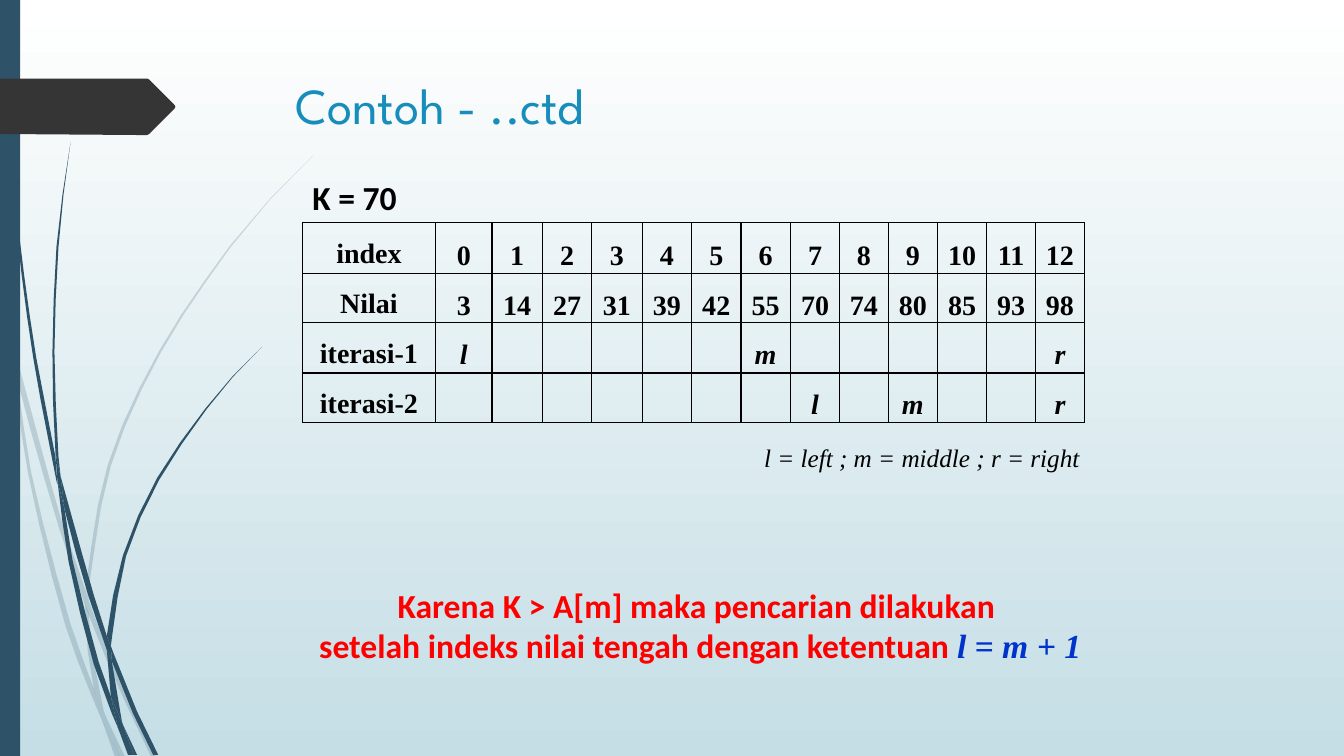
from dataclasses import dataclass
from math import dist

from lxml import etree
from pptx import Presentation
from pptx import util as u
from pptx.dml.color import RGBColor
from pptx.enum import shapes, text
from pptx.oxml import ns

Point = tuple[float, float]
Edge = tuple[Point, ...]


# Theme: colours, fonts and type sizes
@dataclass(frozen=True)
class Theme:
    top: str = "FFFFFF"
    base: str = "C5DEE5"
    navy: str = "2E5369"
    dark: str = "353535"
    title: str = "178DBB"
    ink: str = "000000"
    red: str = "FF0000"
    blue: str = "0033CC"
    head: str = "League Spartan"
    sans: str = "Calibri"
    serif: str = "Times New Roman"
    huge: int = 36
    big: int = 24
    mid: int = 20
    small: int = 18


@dataclass(frozen=True)
class Run:
    words: str
    size: int
    font: str
    color: str
    bold: bool = False
    slant: bool = False


@dataclass(frozen=True)
class Label:
    box: tuple[int, int, int, int]
    lines: tuple[tuple[Run, ...], ...]
    wrap: bool = True
    grow: bool = True
    align: text.PP_ALIGN = text.PP_ALIGN.LEFT


@dataclass(frozen=True)
class Blade:
    left: Edge
    right: Edge


T = Theme()
SCALE = 9144  # EMU per px, 100 px to the inch
WIDE, HIGH = 1333, 750


def emu(px: float) -> u.Emu:
    return u.Emu(round(px * SCALE))


def rgb(code: str) -> RGBColor:
    return RGBColor.from_string(code)


def smooth(edge: Edge) -> list[Point]:
    """Bend long stretches of an edge softly through its knots."""
    last = len(edge) - 1

    def slope(i: int) -> Point:
        a, b = max(i - 1, 0), min(i + 1, last)
        span = sum(dist(edge[k], edge[k + 1]) for k in range(a, b))
        return (edge[b][0] - edge[a][0]) / span, (edge[b][1] - edge[a][1]) / span

    curve: list[Point] = [edge[0]]
    for i in range(last):
        p, q, m, n = edge[i], edge[i + 1], slope(i), slope(i + 1)
        gap = dist(p, q)
        steps = max(1, round(gap / 45))
        for s in range(1, steps + 1):
            t = s / steps
            w, c, d = t * t * (3 - 2 * t), gap * t * (1 - t) ** 2, gap * t * t * (t - 1)
            x, y = (p[k] + w * (q[k] - p[k]) + c * m[k] + d * n[k] for k in (0, 1))
            curve.append((x, y))
    return curve


def paint(shape, color: str, alpha: int = 100) -> None:
    shape.shadow.inherit = False
    shape.fill.solid()
    shape.fill.fore_color.rgb = rgb(color)
    shape.line.fill.background()
    if alpha < 100:
        tone = shape._element.spPr.find(ns.qn("a:solidFill"))[0]
        etree.SubElement(tone, ns.qn("a:alpha"), val=str(alpha * 1000))


def outline(slide, points: list[Point], color: str, alpha: int = 100) -> None:
    spots = list(dict.fromkeys((emu(x), emu(y)) for x, y in points))
    pen = slide.shapes.build_freeform(*spots[0], scale=1.0)
    pen.add_line_segments(spots[1:], close=True)
    paint(pen.convert_to_shape(), color, alpha)


def write(para, run: Run) -> None:
    piece = para.add_run()
    piece.text = run.words
    font = piece.font
    font.size, font.name = u.Pt(run.size), run.font
    font.bold, font.italic = run.bold, run.slant
    font.color.rgb = rgb(run.color)


def label(slide, item: Label) -> None:
    frame = slide.shapes.add_textbox(*map(emu, item.box)).text_frame
    frame.word_wrap = item.wrap
    fit = text.MSO_AUTO_SIZE
    frame.auto_size = fit.SHAPE_TO_FIT_TEXT if item.grow else fit.NONE
    for i, line in enumerate(item.lines):
        para = frame.add_paragraph() if i else frame.paragraphs[0]
        para.alignment = item.align
        for run in line:
            write(para, run)


def border(cell) -> None:
    props = cell._tc.get_or_add_tcPr()
    for side in ("lnL", "lnR", "lnT", "lnB"):
        line = etree.SubElement(props, ns.qn(f"a:{side}"), w=str(u.Pt(1)))
        fill = etree.SubElement(line, ns.qn("a:solidFill"))
        etree.SubElement(fill, ns.qn("a:srgbClr"), val=T.ink)


def grid(slide, rows: list[list[str]], cols: tuple[int, ...], highs: tuple[int, ...]) -> None:
    box = map(emu, (300, 221, sum(cols), sum(highs)))
    table = slide.shapes.add_table(len(rows), len(cols), *box).table
    table.first_row = table.horz_banding = False
    for col, wide in zip(table.columns, cols):
        col.width = emu(wide)
    for r, words in enumerate(rows):
        table.rows[r].height = emu(highs[r])
        for c, word in enumerate(words):
            cell = table.cell(r, c)
            border(cell)
            cell.fill.background()
            cell.margin_left = cell.margin_right = emu(7)
            cell.margin_top = cell.margin_bottom = 0
            cell.vertical_anchor = text.MSO_ANCHOR.MIDDLE if c else text.MSO_ANCHOR.TOP
            if word:
                para = cell.text_frame.paragraphs[0]
                para.alignment, para.line_spacing = text.PP_ALIGN.CENTER, 1.5
                write(para, Run(word, T.mid, T.serif, T.ink, True, word in MARKS))


# Grass blades: pale ones behind, deep ones in front
PALE = (
    Blade(((0, 282), (0, 299), (10, 344), (11, 350)), ((0, 282), (9, 322), (11, 350))),
    Blade(((14, 345), (17, 376), (58, 522), (84, 599)), ((14, 345), (62, 520), (85, 586), (84, 599))),
    Blade(((88, 596), (88, 610), (123, 694), (150, 751)), ((88, 596), (92, 607), (127, 692), (155, 751))),
    Blade(((105, 711), (119, 751)), ((105, 711), (124, 751))),
    Blade(((11, 350), (28, 470), (65, 621), (92, 693), (101, 714)), ((11, 350), (17, 376), (31, 469), (70, 619), (93, 683), (99, 707), (101, 714))),
    Blade(((84, 599), (87, 646), (93, 683), (96, 692), (105, 711)), ((84, 599), (88, 608), (91, 646), (103, 706), (105, 711))),
    Blade(((312, 153), (268, 197), (228, 244), (158, 348), (107, 461), (85, 584), (88, 596)), ((312, 153), (268, 198), (229, 245), (160, 349), (110, 462), (88, 584), (88, 596))),
    Blade(((101, 714), (114, 751)), ((101, 714), (119, 751))),
    Blade(((85, 586), (84, 599), (88, 610)), ((85, 586), (88, 596), (88, 610))),
    Blade(((93, 683), (99, 707), (101, 714), (119, 751)), ((93, 683), (96, 692), (105, 711), (119, 751))),
)
DEEP = (
    Blade(((3, 0), (4, 48), (7, 110), (17, 233), (33, 355), (56, 477), (57, 481)), ((4, 0), (5, 48), (8, 109), (19, 232), (36, 355), (55, 453), (57, 481))),
    Blade(((60, 472), (64, 505), (88, 592), (106, 645)), ((60, 472), (93, 590), (106, 631), (106, 645))),
    Blade(((110, 641), (111, 656), (132, 708), (152, 749)), ((110, 641), (113, 649), (136, 706), (157, 749))),
    Blade(((57, 477), (68, 557), (93, 659), (111, 708), (117, 722)), ((57, 477), (64, 505), (72, 556), (98, 657), (110, 691), (117, 722))),
    Blade(((70, 141), (62, 193), (56, 245), (52, 349), (55, 449), (60, 472)), ((70, 141), (63, 193), (58, 245), (54, 349), (58, 453), (60, 472))),
    Blade(((122, 719), (133, 749)), ((122, 719), (136, 749))),
    Blade(((55, 449), (57, 477), (64, 505)), ((55, 449), (60, 472), (64, 505))),
    Blade(((260, 344), (231, 373), (204, 405), (156, 474), (122, 551), (106, 631), (110, 641)), ((260, 344), (231, 374), (205, 406), (158, 476), (125, 552), (111, 633), (110, 641))),
    Blade(((117, 722), (127, 749)), ((117, 722), (131, 749))),
    Blade(((106, 645), (110, 691), (122, 719)), ((106, 645), (111, 656), (121, 716), (122, 719))),
    Blade(((106, 631), (106, 645), (111, 656)), ((106, 631), (110, 641), (111, 656))),
    Blade(((110, 691), (117, 722), (130, 749)), ((110, 691), (122, 719), (133, 749))),
)
TAG = [(0, 78), (146, 78), (148, 79), (173, 104), (174, 106), (173, 108), (148, 133), (146, 134), (136, 134), (0, 133)]

# Search table: marks sit at their index
MARKS = {"l", "m", "r"}
VALUES = (3, 14, 27, 31, 39, 42, 55, 70, 74, 80, 85, 93, 98)
PASSES = ({0: "l", 6: "m", 12: "r"}, {7: "l", 9: "m", 12: "r"})
COLS = (132, 56) + (50, 49) * 2 + (49,) * 2 + (49, 48, 49) * 2
ROWS = [["index", *map(str, range(len(VALUES)))], ["Nilai", *map(str, VALUES)]]
ROWS += [[f"iterasi-{n}", *(spot.get(i, "") for i in range(len(VALUES)))] for n, spot in enumerate(PASSES, 1)]

LABELS = (
    Label((283, 69, 975, 140), ((Run("Contoh - ..ctd", T.huge, T.head, T.title),),), grow=False),
    Label((748, 434, 446, 40), ((Run("l = left ; m = middle ; r = right", T.small, T.serif, T.ink, slant=True),),)),
    Label((303, 575, 783, 91),
          ((Run("Karena K > A[m] maka pencarian dilakukan ", T.big, T.sans, T.red, True),),
           (Run("setelah indeks nilai tengah dengan ketentuan ", T.big, T.sans, T.red, True),
            Run("l = m + 1", T.big, T.serif, T.blue, True, True))), wrap=False, align=text.PP_ALIGN.CENTER),
    Label((300, 171, 105, 50), ((Run("K = 70", T.big, T.sans, T.ink, True),),), wrap=False),
)


def main() -> None:
    deck = Presentation()
    deck.slide_width, deck.slide_height = emu(WIDE), emu(HIGH)
    slide = deck.slides.add_slide(deck.slide_layouts[6])
    # Backdrop
    back = slide.background.fill
    back.gradient()
    back.gradient_angle = 270
    for stop, color in zip(back.gradient_stops, (T.top, T.base)):
        stop.color.rgb = rgb(color)
    # Side decoration
    for blades, alpha in ((PALE, 20), (DEEP, 100)):
        for blade in blades:
            outline(slide, smooth(blade.left) + smooth(blade.right)[::-1], T.navy, alpha)
    paint(slide.shapes.add_shape(shapes.MSO_SHAPE.RECTANGLE, 0, 0, emu(20), emu(HIGH)), T.navy)
    outline(slide, TAG, T.dark)
    # Content
    grid(slide, ROWS, COLS, (50, 49) * 2)
    for item in LABELS:
        label(slide, item)
    deck.save("out.pptx")


if __name__ == "__main__":
    main()
